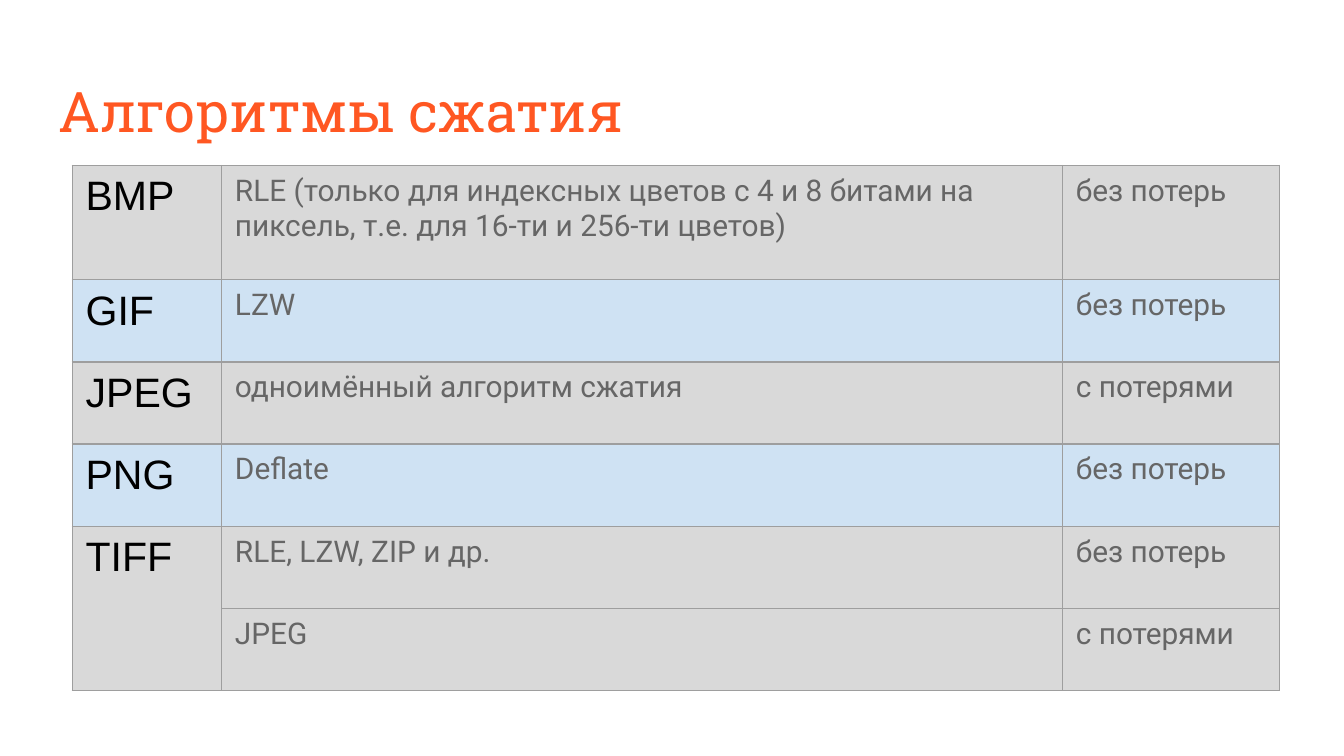
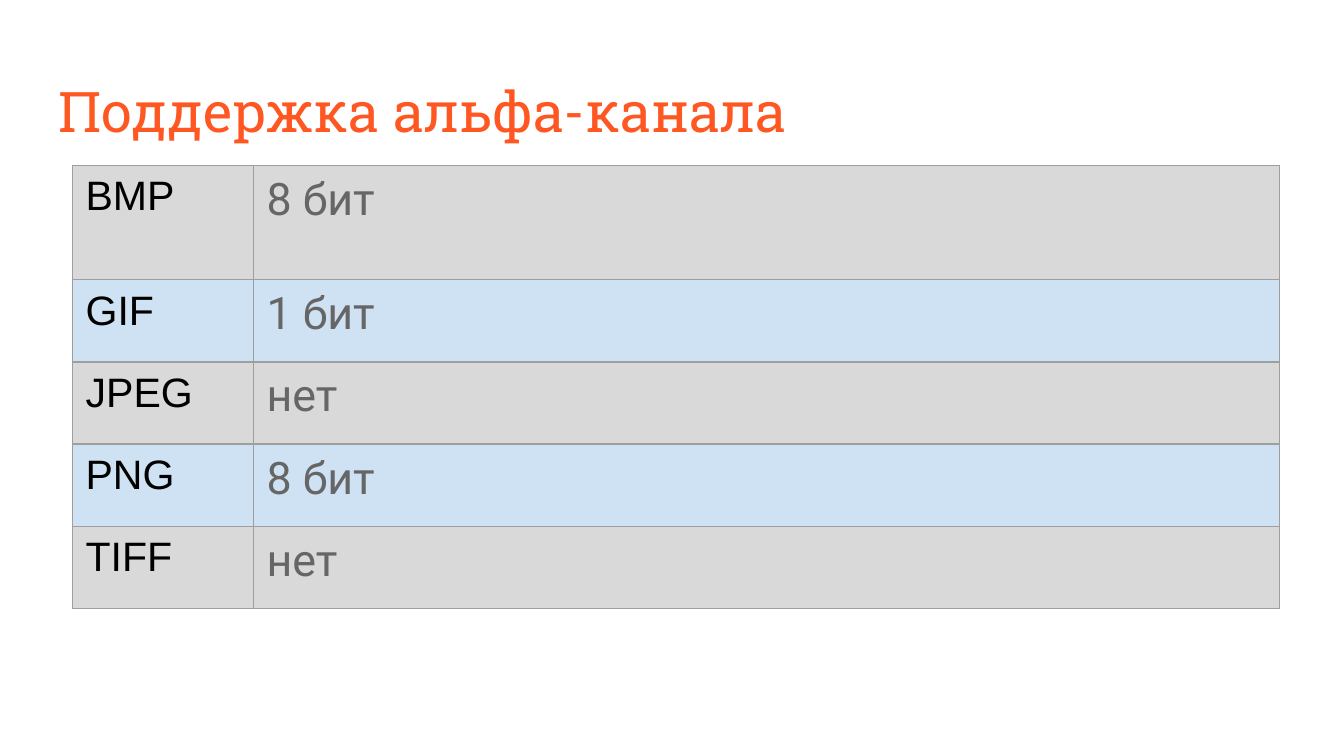
from lxml import etree
from pptx import Presentation
from pptx.dml.color import RGBColor
from pptx.enum.text import MSO_ANCHOR
from pptx.oxml.ns import qn
from pptx.util import Pt

TOP = MSO_ANCHOR.TOP
ORANGE = RGBColor(0xFF, 0x57, 0x22)
BLACK = RGBColor(0x00, 0x00, 0x00)
TEXT_GREY = RGBColor(0x66, 0x66, 0x66)
BORDER_GREY = RGBColor(0x9E, 0x9E, 0x9E)
BAND_COLORS = (RGBColor(0xD9, 0xD9, 0xD9), RGBColor(0xCF, 0xE2, 0xF3))
TITLE_FONT, FORMAT_FONT, BODY_FONT = "Roboto Slab", "Arial", "Roboto"
FIRST_ROW_HEIGHT, ROW_HEIGHT = 61.3, 44

COMPRESSION_ROWS = [
    ("BMP", "RLE (только для индексных цветов с 4 и 8 битами на пиксель, "
            "т.е. для 16-ти и 256-ти цветов)", "без потерь"),
    ("GIF", "LZW", "без потерь"),
    ("JPEG", "одноимённый алгоритм сжатия", "с потерями"),
    ("PNG", "Deflate", "без потерь"),
    ("TIFF", "RLE, LZW, ZIP и др.", "без потерь"),
    ("", "JPEG", "с потерями"),
]
ALPHA_ROWS = [
    ("BMP", "8 бит"),
    ("GIF", "1 бит"),
    ("JPEG", "нет"),
    ("PNG", "8 бит"),
    ("TIFF", "нет"),
]


def write_text(text_frame, text, font_name, size, color):
    """Put one formatted paragraph in a text frame and return it."""
    text_frame.text = text
    para = text_frame.paragraphs[0]
    for span in para.runs:
        span.font.name = font_name
        span.font.size = Pt(size)
        span.font.bold = False
        span.font.color.rgb = color
    return para


def add_title(page, text):
    """Add the slide title."""
    box = page.shapes.add_textbox(Pt(24.5), Pt(35.3), Pt(671), Pt(45.4))
    frame = box.text_frame
    frame.word_wrap = True
    frame.vertical_anchor = TOP
    frame.margin_left = frame.margin_right = Pt(7.2)
    frame.margin_top, frame.margin_bottom = Pt(5.5), Pt(0)
    write_text(frame, text, TITLE_FONT, 30, ORANGE)


def add_borders(cell):
    """Draw a thin grey line on all four sides of a cell."""
    properties = cell._tc.get_or_add_tcPr()
    for side in ("a:lnL", "a:lnR", "a:lnT", "a:lnB"):
        line = etree.SubElement(properties, qn(side), w=str(Pt(0.75)))
        fill = etree.SubElement(line, qn("a:solidFill"))
        etree.SubElement(fill, qn("a:srgbClr"), val=str(BORDER_GREY))


def style_cell(cell, fill_color):
    """Set the margins, borders and fill of a cell."""
    cell.vertical_anchor = TOP
    cell.margin_left = cell.margin_right = Pt(7.2)
    cell.margin_top = cell.margin_bottom = Pt(4.5)
    add_borders(cell)
    cell.fill.solid()
    cell.fill.fore_color.rgb = fill_color


def add_format_table(page, rows, widths, body_size):
    """Add a table banded by format; a row without a name joins the one above."""
    heights = [FIRST_ROW_HEIGHT] + [ROW_HEIGHT] * (len(rows) - 1)
    table = page.shapes.add_table(
        len(rows), len(widths), Pt(38.7), Pt(88.6),
        Pt(sum(widths)), Pt(sum(heights))).table
    table.first_row = table.horz_banding = False
    for column, width in zip(table.columns, widths):
        column.width = Pt(width)
    format_count = 0
    for index, (name, *details) in enumerate(rows):
        table.rows[index].height = Pt(heights[index])
        format_count += bool(name)
        fill_color = BAND_COLORS[(format_count - 1) % 2]
        name_cell = table.cell(index, 0)
        style_cell(name_cell, fill_color)
        if name:
            write_text(name_cell.text_frame, name, FORMAT_FONT, 22, BLACK)
        else:
            table.cell(index - 1, 0).merge(name_cell)
        for column_index, detail in enumerate(details, 1):
            cell = table.cell(index, column_index)
            style_cell(cell, fill_color)
            para = write_text(cell.text_frame, detail, BODY_FONT, body_size, TEXT_GREY)
            para.space_after = Pt(16)


def add_page(deck, title, rows, widths, body_size):
    """Add a slide with a title and a table of formats."""
    page = deck.slides.add_slide(deck.slide_layouts[6])
    add_title(page, title)
    add_format_table(page, rows, widths, body_size)


def main():
    """Build and save the deck."""
    deck = Presentation()
    deck.slide_width, deck.slide_height = Pt(720), Pt(405)
    add_page(deck, "Алгоритмы сжатия", COMPRESSION_ROWS, (80, 450.5, 116.5), 16)
    add_page(deck, "Поддержка альфа-канала", ALPHA_ROWS, (97, 550), 24)
    deck.save("out.pptx")


if __name__ == "__main__":
    main()
